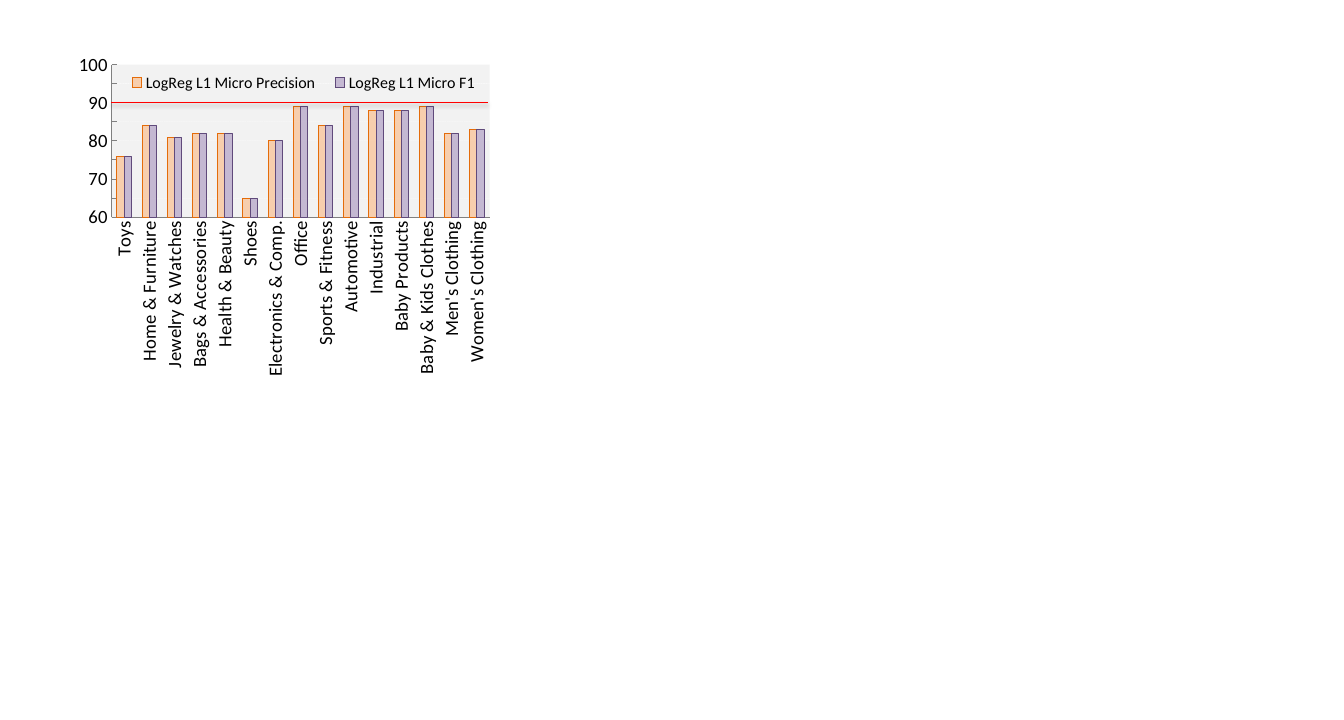
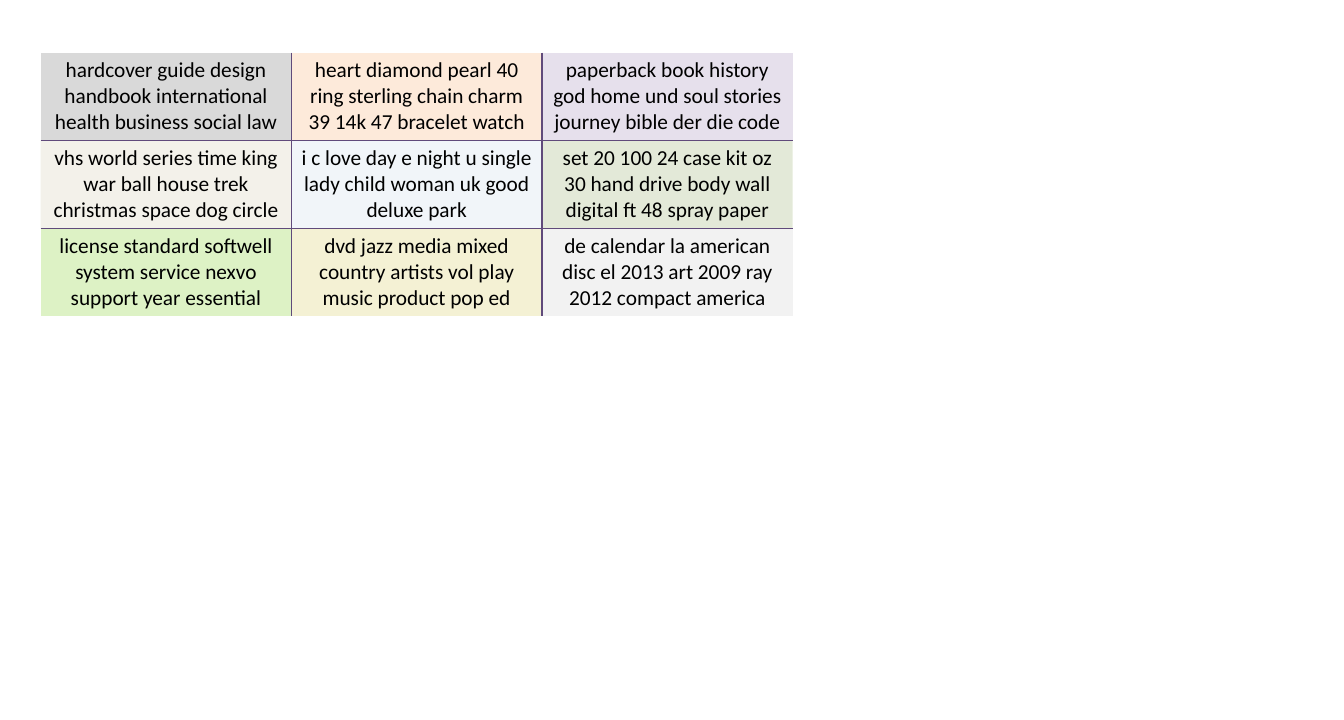
import pptx
import pptx.chart.data
import pptx.dml.color
import pptx.enum.chart
import pptx.enum.dml
import pptx.enum.shapes
import pptx.enum.text
import pptx.oxml
import pptx.oxml.ns
import pptx.util

Pt = pptx.util.Pt
qn = pptx.oxml.ns.qn

# Shared style
FONT = "Calibri"
BLACK = "000000"
AXIS_GREY = "808080"
PANEL_GREY = "F2F2F2"
PURPLE = "604A7B"

# Classifier results by product category
SCORES = {
    "Toys": 76, "Home & Furniture": 84, "Jewelry & Watches": 81,
    "Bags & Accessories": 82, "Health & Beauty": 82, "Shoes": 65,
    "Electronics & Comp.": 80, "Office": 89, "Sports & Fitness": 84,
    "Automotive": 89, "Industrial": 88, "Baby Products": 88,
    "Baby & Kids Clothes": 89, "Men's Clothing": 82, "Women's Clothing": 83,
}
# Measure name, fill, opacity, outline
MEASURES = [
    ("LogReg L1 Micro Precision", "FAC090", 70, "E46C0A"),
    ("LogReg L1 Micro F1", "B3A2C7", 72, PURPLE),
]

# Word clusters: text, fill, opacity
CLUSTERS = [
    [("hardcover guide design handbook international health business social law", "D9D9D9", 100),
     ("heart diamond pearl 40 ring sterling chain charm 39 14k 47 bracelet watch", "FDEADA", 100),
     ("paperback book history god home und soul stories journey bible der die code", "E6E0EC", 100)],
    [("vhs world series time king war ball house trek christmas space dog circle", "C4BD97", 20),
     ("i c love day e night u single lady child woman uk good deluxe park", "B9CDE5", 20),
     ("set 20 100 24 case kit oz 30 hand drive body wall digital ft 48 spray paper", "77933C", 20)],
    [("license standard softwell system service nexvo support year essential", "DDF2C5", 100),
     ("dvd jazz media mixed country artists vol play music product pop ed", "F4F1D4", 100),
     ("de calendar la american disc el 2013 art 2009 ray 2012 compact america", PANEL_GREY, 100)],
]


def color(value):
    return pptx.dml.color.RGBColor.from_string(value)


def parse_xml(tag, inner):
    """Build an element of the drawing (a:) or chart (c:) namespace."""
    spaces = pptx.oxml.ns.nsdecls("a", "c")
    return pptx.oxml.parse_xml(f"<{tag} {spaces}>{inner}</{tag}>")


def set_opacity(element, percent):
    """Make the first colour inside the element translucent."""
    tint = element.find(".//" + qn("a:srgbClr"))
    tint.append(parse_xml("a:alpha", ""))
    tint[-1].set("val", str(percent * 1000))


def set_font(font, size):
    font.name = FONT
    font.size = Pt(size)
    font.color.rgb = color(BLACK)


def set_line(line, value, width):
    line.color.rgb = color(value)
    line.width = Pt(width)


def set_layout(parent, index, left, top, width, height, target=""):
    """Place a chart part by fractions of the chart's size."""
    for old in parent.findall(qn("c:layout")):
        parent.remove(old)
    parts = [("xMode", "edge"), ("yMode", "edge"),
             ("x", left), ("y", top), ("w", width), ("h", height)]
    if target:
        parts.insert(0, ("layoutTarget", target))
    inner = "".join(f'<c:{name} val="{value}"/>' for name, value in parts)
    parent.insert(index, parse_xml("c:layout", f"<c:manualLayout>{inner}</c:manualLayout>"))


def style_axes(chart):
    ticks = pptx.enum.chart.XL_TICK_MARK
    for axis in (chart.category_axis, chart.value_axis):
        set_font(axis.tick_labels.font, 14)
        set_line(axis.format.line, AXIS_GREY, 0.75)
        axis.minor_tick_mark = ticks.NONE

    categories = chart.category_axis
    categories.major_tick_mark = ticks.NONE
    categories._element.find(".//" + qn("a:bodyPr")).set("rot", "-5400000")

    values = chart.value_axis
    values.major_tick_mark = ticks.INSIDE
    values.minimum_scale, values.maximum_scale = 60, 100
    values.major_unit = 5
    grid = values.major_gridlines.format.line
    set_line(grid, "FFFFFF", 0.25)
    grid.dash_style = pptx.enum.dml.MSO_LINE.ROUND_DOT
    set_opacity(values._element.find(qn("c:majorGridlines")), 80)


def add_score_chart(page, left, top, width, height):
    data = pptx.chart.data.CategoryChartData()
    data.categories = list(SCORES)
    for name, *_ in MEASURES:
        data.add_series(name, list(SCORES.values()))
    chart = page.shapes.add_chart(
        pptx.enum.chart.XL_CHART_TYPE.COLUMN_CLUSTERED,
        Pt(left), Pt(top), Pt(width), Pt(height), data).chart
    chart.has_title = False
    set_font(chart.font, 10)
    style_axes(chart)

    # Columns
    plot = chart.plots[0]
    plot.gap_width = 150
    plot.vary_by_categories = False
    for series, (_, fill, opacity, outline) in zip(plot.series, MEASURES):
        series.format.fill.solid()
        series.format.fill.fore_color.rgb = color(fill)
        set_opacity(series._element, opacity)
        set_line(series.format.line, outline, 0.75)

    # Plot area
    area = chart.element.find(".//" + qn("c:plotArea"))
    set_layout(area, 0, 0.123, 0.127, 0.417, 0.32, "inner")
    area.append(parse_xml(
        "c:spPr", f'<a:solidFill><a:srgbClr val="{PANEL_GREY}"/></a:solidFill>'))

    # Legend across the top of the plot
    chart.has_legend = True
    legend = chart.legend
    legend.position = pptx.enum.chart.XL_LEGEND_POSITION.RIGHT
    legend.include_in_layout = False
    set_font(legend.font, 12)
    set_layout(legend._element, 1, 0.13, 0.13, 0.41, 0.07)


def add_threshold(page, left, right, top):
    line = page.shapes.add_connector(
        pptx.enum.shapes.MSO_CONNECTOR.STRAIGHT, Pt(left), Pt(top), Pt(right), Pt(top))
    set_line(line.line, "FF0000", 0.5)
    shadow = (f'<a:outerShdw blurRad="{Pt(3.1)}" dist="{Pt(1.6)}" dir="5400000" rotWithShape="0">'
              f'<a:srgbClr val="{BLACK}"><a:alpha val="38000"/></a:srgbClr></a:outerShdw>')
    line.element.spPr.append(parse_xml("a:effectLst", shadow))


def set_borders(cell, inner_sides):
    """Rule the sides shared with other cells and leave the rest open."""
    properties = cell._tc.get_or_add_tcPr()
    for side in "LRTB":
        if side in inner_sides:
            fill = f'<a:solidFill><a:srgbClr val="{PURPLE}"/></a:solidFill>'
        else:
            fill = "<a:noFill/>"
        border = parse_xml(f"a:ln{side}", fill)
        border.set("w", str(Pt(1)))
        properties.append(border)


def fill_cell(cell, text, fill, opacity):
    cell.fill.solid()
    cell.fill.fore_color.rgb = color(fill)
    if opacity < 100:
        set_opacity(cell._tc.tcPr.find(qn("a:solidFill")), opacity)
    cell.text = text
    para = cell.text_frame.paragraphs[0]
    para.alignment = pptx.enum.text.PP_ALIGN.CENTER
    set_font(para.font, 16)


def add_cluster_table(page, left, top, column_width, row_height):
    rows, columns = len(CLUSTERS), len(CLUSTERS[0])
    table = page.shapes.add_table(
        rows, columns, Pt(left), Pt(top),
        Pt(column_width * columns), Pt(row_height * rows)).table
    table.first_row = False
    table.horz_banding = False
    for r, clusters in enumerate(CLUSTERS):
        for c, cluster in enumerate(clusters):
            cell = table.cell(r, c)
            shared = {"L": c > 0, "R": c < columns - 1, "T": r > 0, "B": r < rows - 1}
            set_borders(cell, [side for side, inner in shared.items() if inner])
            fill_cell(cell, *cluster)


def add_page(deck):
    return deck.slides.add_slide(deck.slide_layouts.get_by_name("Blank"))


def main():
    deck = pptx.Presentation()
    deck.slide_width, deck.slide_height = Pt(1008), Pt(540)

    # Slide 1: scores by category
    page = add_page(deck)
    add_score_chart(page, 0, 3, 680, 358)
    add_threshold(page, 83.5, 366, 77)

    # Slide 2: word clusters
    page = add_page(deck)
    add_cluster_table(page, 30.5, 39.5, 188, 64.8)

    deck.save("out.pptx")


if __name__ == "__main__":
    main()
